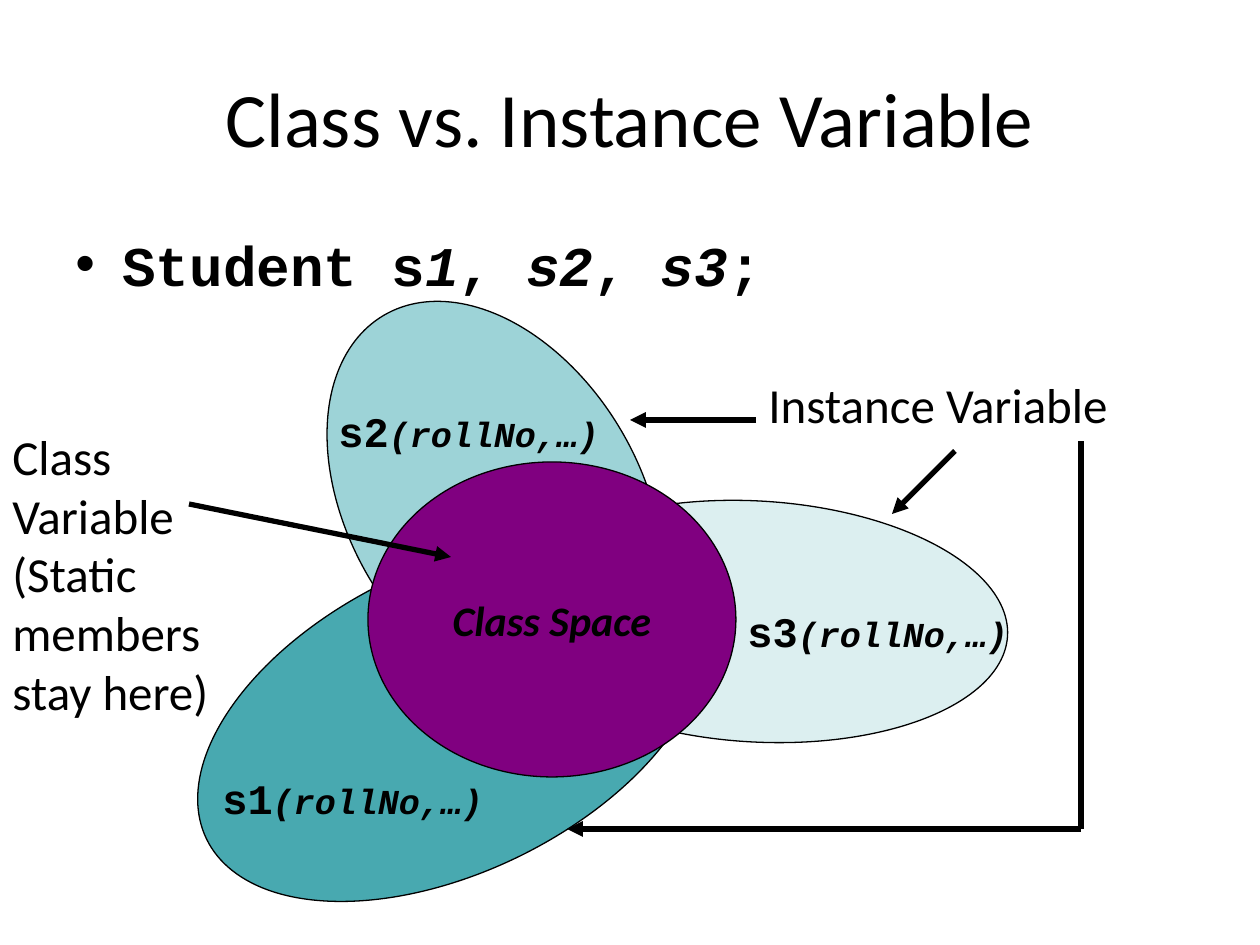
from dataclasses import dataclass

from lxml import etree
from pptx import Presentation
from pptx.dml.color import RGBColor
from pptx.enum.shapes import MSO_CONNECTOR, MSO_SHAPE
from pptx.enum.text import MSO_ANCHOR, MSO_AUTO_SIZE, PP_ALIGN
from pptx.oxml.ns import qn
from pptx.util import Emu, Pt

LEFT, CENTER = PP_ALIGN.LEFT, PP_ALIGN.CENTER
TOP, MIDDLE = MSO_ANCHOR.TOP, MSO_ANCHOR.MIDDLE
GROW, FIXED = MSO_AUTO_SIZE.SHAPE_TO_FIT_TEXT, MSO_AUTO_SIZE.NONE
OVAL = MSO_SHAPE.OVAL
STRAIGHT = MSO_CONNECTOR.STRAIGHT
PIXEL = 914400 / 126


@dataclass(frozen=True)
class Theme:
    ink: str = "000000"
    first: str = "48A9B0"
    second: str = "9DD3D7"
    third: str = "DCEFF0"
    core: str = "800080"
    sans: str = "Calibri"
    mono: str = "Courier New"
    title: int = 44
    body: int = 32
    note: int = 28
    label: int = 24
    detail: int = 20
    outline: float = 0.75
    arrow: int = 3


def px(length):
    return Emu(round(length * PIXEL))


def write(frame, paragraphs, *, size, font, color, bold=False, align=LEFT,
          anchor=TOP, wrap=True, fit=FIXED, before=0, spacing=1.0):
    frame.word_wrap = wrap
    frame.auto_size = fit
    frame.vertical_anchor = anchor
    for index, spans in enumerate(paragraphs):
        para = frame.paragraphs[0] if index == 0 else frame.add_paragraph()
        para.alignment = align
        para.space_before = Pt(before)
        para.line_spacing = spacing
        for words, italic, span_size in spans:
            span = para.add_run()
            span.text = words
            span.font.name = font
            span.font.size = Pt(span_size or size)
            span.font.bold = bold
            span.font.italic = italic
            span.font.color.rgb = RGBColor.from_string(color)


def plain(words):
    return [(words, False, None)]


class SlideBuilder:
    def __init__(self, deck, theme):
        self.theme = theme
        self.page = deck.slides.add_slide(deck.slide_layouts[6])

    def text(self, left, top, width, height, paragraphs, **style):
        box = self.page.shapes.add_textbox(px(left), px(top), px(width), px(height))
        style = {"font": self.theme.sans, "color": self.theme.ink, **style}
        write(box.text_frame, paragraphs, **style)
        return box

    def bullet(self, left, top, width, height, spans):
        box = self.text(left, top, width, height, [spans], size=self.theme.body,
                        font=self.theme.mono, bold=True, before=7, spacing=0.8)
        properties = box.text_frame.paragraphs[0]._p.get_or_add_pPr()
        properties.set("marL", str(px(47)))
        properties.set("indent", str(px(-47)))
        etree.SubElement(properties, qn("a:buFont")).set("typeface", "Arial")
        etree.SubElement(properties, qn("a:buChar")).set("char", "•")

    def ellipse(self, left, top, width, height, fill, rotation=0):
        shape = self.page.shapes.add_shape(OVAL, px(left), px(top), px(width), px(height))
        shape.rotation = rotation
        shape.shadow.inherit = False
        shape.fill.solid()
        shape.fill.fore_color.rgb = RGBColor.from_string(fill)
        shape.line.color.rgb = RGBColor.from_string(self.theme.ink)
        shape.line.width = Pt(self.theme.outline)
        return shape

    def object_label(self, left, top, width, name):
        spans = [(name, False, None), ("(rollNo,…)", True, self.theme.detail)]
        self.text(left, top, width, 63, [spans], size=self.theme.label,
                  font=self.theme.mono, bold=True, before=4, fit=GROW)

    def line(self, start, end, arrow=True):
        points = [px(value) for value in (*start, *end)]
        connector = self.page.shapes.add_connector(STRAIGHT, *points)
        connector.line.color.rgb = RGBColor.from_string(self.theme.ink)
        connector.line.width = Pt(self.theme.arrow)
        if arrow:
            tail = etree.SubElement(connector.line._get_or_add_ln(), qn("a:tailEnd"))
            tail.set("type", "triangle")
        etree.SubElement(connector._element.spPr, qn("a:effectLst"))


def main():
    deck = Presentation()
    deck.slide_width, deck.slide_height = px(1260), px(945)
    theme = Theme()
    slide = SlideBuilder(deck, theme)

    slide.text(63, 38, 1134, 158, [plain("Class vs. Instance Variable")],
               size=theme.title, align=CENTER, anchor=MIDDLE)
    slide.bullet(63, 237, 1134, 624, [
        ("Student s", False, None), ("1", True, None), (", ", False, None),
        ("s2", True, None), (", ", False, None), ("s3", True, None),
        (";", False, None)])

    slide.ellipse(504, 501, 504, 241, theme.third, 3.3)
    slide.ellipse(179, 567, 546, 305, theme.first, 334)
    slide.ellipse(276, 358, 438, 292, theme.second, 59.4)
    class_space = slide.ellipse(368, 462, 368, 315, theme.core)
    write(class_space.text_frame, [[("Class Space", True, None)]],
          size=theme.label, font=theme.sans, color=theme.ink, bold=True,
          align=CENTER, anchor=MIDDLE, wrap=False)

    for left, top, width, name in (
            (210, 766, 325, "s1"), (326, 399, 388, "s2"), (735, 599, 388, "s3")):
        slide.object_label(left, top, width, name)

    slide.text(756, 368, 368, 72, [plain("Instance Variable")],
               size=theme.note, wrap=False, fit=GROW)
    slide.text(0, 420, 290, 310,
               [plain("Class Variable"), plain("(Static members stay here)")],
               size=theme.note, fit=GROW)

    corner = (1081, 829)
    slide.line((1081, 441), corner, arrow=False)
    slide.line(corner, (567, 829))
    slide.line((955, 451), (892, 514))
    slide.line((756, 420), (630, 420))
    slide.line((189, 504), (451, 557))

    deck.save("out.pptx")


if __name__ == "__main__":
    main()
